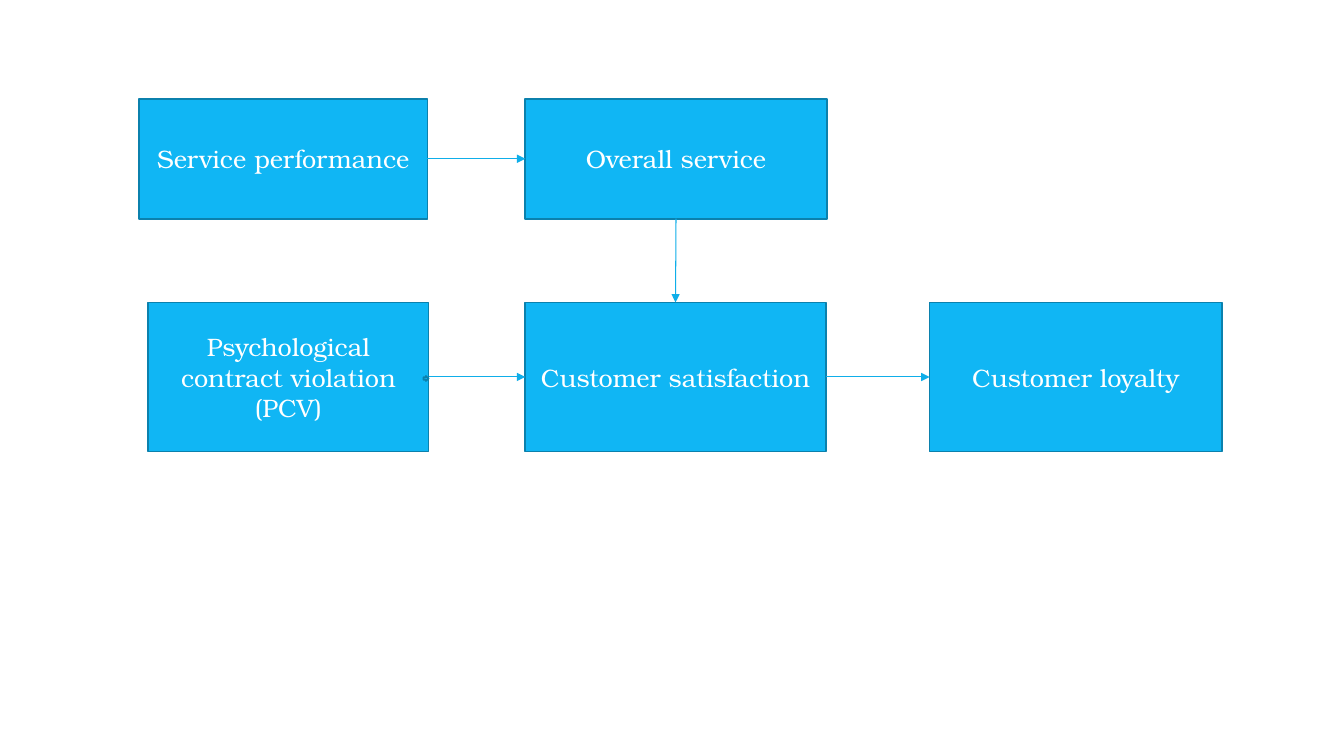
from lxml import etree
from pptx import Presentation
from pptx import util as u
from pptx.dml.color import RGBColor
from pptx.enum import shapes, text
from pptx.oxml.ns import qn

FILL = RGBColor(0x10, 0xB6, 0xF4)
BORDER = RGBColor(0x0B, 0x81, 0xAD)
ARROW = RGBColor(0x0F, 0xAE, 0xE9)
WHITE = RGBColor(0xFF, 0xFF, 0xFF)
FONT = "TeX Gyre Bonum"
TOP, LEFT, BOTTOM, RIGHT = range(4)

deck = Presentation()
deck.slide_width, deck.slide_height = u.Inches(13.33), u.Inches(7.5)
page = deck.slides.add_slide(deck.slide_layouts[6])


def add_block(kind, left, top, width, height):
    block = page.shapes.add_shape(kind, *map(u.Inches, (left, top, width, height)))
    block.shadow.inherit = False
    block.fill.solid()
    block.fill.fore_color.rgb = FILL
    block.line.color.rgb = BORDER
    block.line.width = u.Pt(1.25)
    return block


rows = {"service": (0.98, 1.19), "customer": (3, 1.48)}
middle_column = 5.21
concepts = [
    ("Psychological contract violation (PCV)", "customer", 1.47, 2.78),
    ("Customer satisfaction", "customer", middle_column, 2.98),
    ("Customer loyalty", "customer", 9.22, 2.9),
    ("Service performance", "service", 1.38, 2.86),
    ("Overall service", "service", middle_column, 2.99),
]
boxes = []
for label, row, left, width in concepts:
    top, height = rows[row]
    box = add_block(shapes.MSO_SHAPE.RECTANGLE, left, top, width, height)
    box.text_frame.word_wrap = True
    box.text_frame.vertical_anchor = text.MSO_ANCHOR.MIDDLE
    para = box.text_frame.paragraphs[0]
    para.text = label
    para.alignment = text.PP_ALIGN.CENTER
    para.font.name = FONT
    para.font.size = u.Pt(18)
    para.font.color.rgb = WHITE
    boxes.append(box)

add_block(shapes.MSO_SHAPE.RIGHT_ARROW, 4.2, 3.73, 0.05, 0.05)

violation, satisfaction, loyalty, performance, overall = boxes
links = [
    (violation, RIGHT, satisfaction, LEFT),
    (satisfaction, RIGHT, loyalty, LEFT),
    (performance, RIGHT, overall, LEFT),
    (overall, BOTTOM, satisfaction, TOP),
]
for source, source_side, target, target_side in links:
    link = page.shapes.add_connector(shapes.MSO_CONNECTOR.STRAIGHT, 0, 0, 0, 0)
    link.begin_connect(source, source_side)
    link.end_connect(target, target_side)
    link.line.color.rgb = ARROW
    link.line.width = u.Pt(0.75)
    etree.SubElement(link.line._get_or_add_ln(), qn("a:tailEnd"), type="triangle")
    etree.SubElement(link._element.spPr, qn("a:effectLst"))

deck.save("out.pptx")
